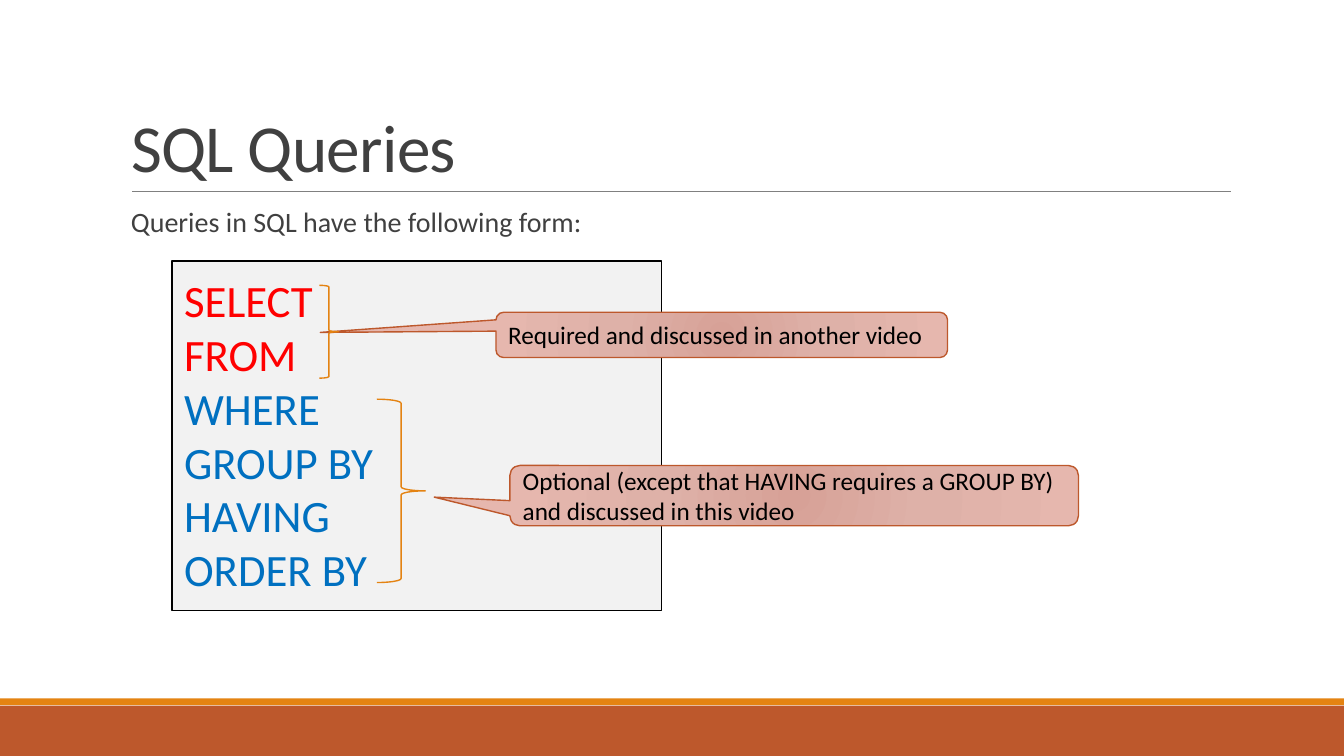
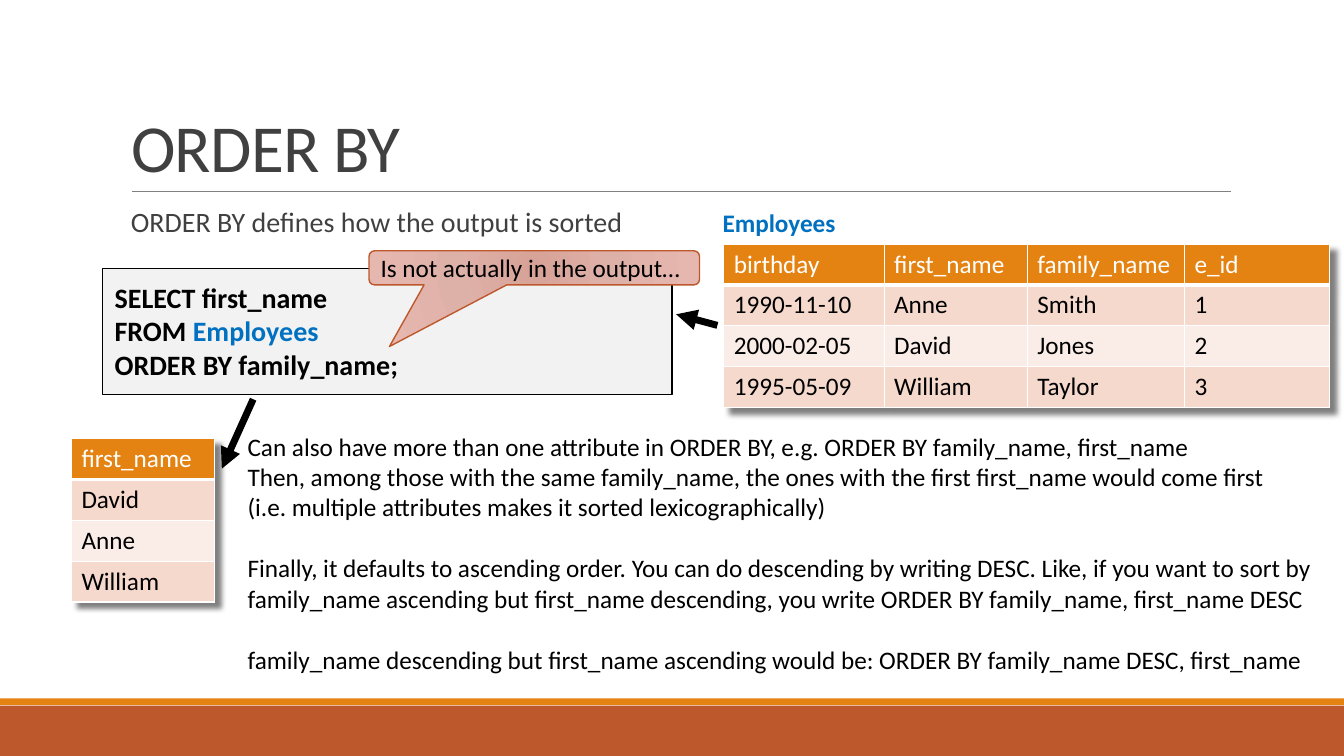
from dataclasses import dataclass
from typing import NamedTuple, Sequence

import lxml.etree
import pptx
import pptx.dml.color
import pptx.enum.shapes
import pptx.enum.text
import pptx.oxml
import pptx.oxml.ns
import pptx.util

# Shared look
FONT = "Calibri"
ORANGE, RUST, GREY = "E48312", "BD582C", "404040"
BLACK, WHITE, RED, BLUE = "000000", "FFFFFF", "FF0000", "0070C0"
CODE_FILL, RULE_GREY = "F2F2F2", "808080"
ROW_FILLS = ("F5D9CC", "FAEDE7")
CALLOUT_STOPS = ((0, "D7A197"), (45, "DEB1A8"), (100, "E6B7AE"))
ROW_HEIGHT = 1.03
SLIDE_WIDTH, SLIDE_HEIGHT = 33.87, 19.05

Cm = pptx.util.Cm
Pt = pptx.util.Pt
Shape = pptx.enum.shapes.MSO_SHAPE
Anchor = pptx.enum.text.MSO_ANCHOR
NAMESPACE = 'xmlns:a="http://schemas.openxmlformats.org/drawingml/2006/main"'


class Box(NamedTuple):
    """A position and size in centimetres."""
    left: float
    top: float
    width: float
    height: float

    def lengths(self) -> list:
        return [Cm(value) for value in self]


class Run(NamedTuple):
    text: str
    color: str


@dataclass(frozen=True)
class Line:
    runs: tuple[Run, ...]
    space_before: float = 0


@dataclass(frozen=True)
class Callout:
    box: Box
    text: str
    tip: tuple[float, float]


@dataclass(frozen=True)
class Arrow:
    start: tuple[float, float]
    end: tuple[float, float]


@dataclass(frozen=True)
class Relation:
    left: float
    top: float
    widths: tuple[float, ...]
    rows: tuple[tuple[str, ...], ...]


def rgb(color: str) -> pptx.dml.color.RGBColor:
    return pptx.dml.color.RGBColor.from_string(color)


def add_xml(parent, tag: str, **attributes: str):
    return lxml.etree.SubElement(parent, pptx.oxml.ns.qn(tag), attributes)


def write(frame, lines: Sequence[str | Line], *, size: float, color: str = BLACK,
          bold: bool = False, anchor=Anchor.TOP, wrap: bool = True,
          spacing: float = 1, tracking: float = 0,
          insets: tuple[float, float] | None = None) -> None:
    """Fill a text frame; insets are horizontal and vertical centimetres."""
    frame.word_wrap = wrap
    frame.auto_size = pptx.enum.text.MSO_AUTO_SIZE.NONE
    frame.vertical_anchor = anchor
    if insets:
        frame.margin_left = frame.margin_right = Cm(insets[0])
        frame.margin_top = frame.margin_bottom = Cm(insets[1])
    for index, line in enumerate(lines):
        if isinstance(line, str):
            line = Line((Run(line, color),))
        paragraph = frame.add_paragraph() if index else frame.paragraphs[0]
        paragraph.alignment = pptx.enum.text.PP_ALIGN.LEFT
        paragraph.line_spacing = spacing
        paragraph.space_before = Pt(line.space_before)
        for part in line.runs:
            run = paragraph.add_run()
            run.text = part.text
            run.font.name, run.font.size, run.font.bold = FONT, Pt(size), bold
            run.font.color.rgb = rgb(part.color)
            if tracking:
                run._r.get_or_add_rPr().set("spc", str(round(tracking * 100)))


def add_figure(slide, kind, box: Box, *, fill: str = "", line: str = ""):
    figure = slide.shapes.add_shape(kind, *box.lengths())
    figure.shadow.inherit = False
    if fill:
        figure.fill.solid()
        figure.fill.fore_color.rgb = rgb(fill)
    else:
        figure.fill.background()
    if line:
        figure.line.color.rgb = rgb(line)
        figure.line.width = Pt(1)
    else:
        figure.line.fill.background()
    return figure


def add_straight(slide, start: tuple[float, float], end: tuple[float, float], *,
                 color: str, width: float, head: bool = False):
    straight = slide.shapes.add_connector(
        pptx.enum.shapes.MSO_CONNECTOR.STRAIGHT,
        *[Cm(value) for value in (*start, *end)])
    straight.line.color.rgb = rgb(color)
    straight.line.width = Pt(width)
    if head:
        add_xml(straight.line._get_or_add_ln(), "a:tailEnd", type="triangle")
    add_xml(straight._element.spPr, "a:effectLst")
    return straight


def add_code(slide, box: Box, lines: Sequence[str | Line], *, size: float,
             bold: bool = False) -> None:
    panel = add_figure(slide, Shape.RECTANGLE, box, fill=CODE_FILL, line=BLACK)
    write(panel.text_frame, lines, size=size, bold=bold, insets=(0.3, 0.3))


def add_callout(slide, callout: Callout) -> None:
    bubble = add_figure(slide, Shape.ROUNDED_RECTANGULAR_CALLOUT, callout.box,
                        fill=CALLOUT_STOPS[0][1], line=RUST)
    for index, value in enumerate((*callout.tip, 0.167)):
        bubble.adjustments[index] = value
    stops = "".join(f'<a:gs pos="{position * 1000}"><a:srgbClr val="{color}"/></a:gs>'
                    for position, color in CALLOUT_STOPS)
    gradient = pptx.oxml.parse_xml(
        f'<a:gradFill {NAMESPACE} rotWithShape="1"><a:gsLst>{stops}</a:gsLst>'
        '<a:path path="circle"><a:fillToRect l="100000" t="100000" r="100000" '
        'b="100000"/></a:path></a:gradFill>')
    properties = bubble._element.spPr
    properties.replace(properties.find(pptx.oxml.ns.qn("a:solidFill")), gradient)
    write(bubble.text_frame, [callout.text], size=18, anchor=Anchor.MIDDLE)


def add_relation(slide, relation: Relation) -> None:
    box = Box(relation.left, relation.top, sum(relation.widths),
              ROW_HEIGHT * len(relation.rows))
    table = slide.shapes.add_table(len(relation.rows), len(relation.widths),
                                   *box.lengths()).table
    table.first_row = table.horz_banding = False
    for column, width in zip(table.columns, relation.widths):
        column.width = Cm(width)
    for row_index, values in enumerate(relation.rows):
        header = row_index == 0
        table.rows[row_index].height = Cm(ROW_HEIGHT)
        for column_index, value in enumerate(values):
            cell = table.cell(row_index, column_index)
            write(cell.text_frame, [value], size=18, color=WHITE if header else BLACK)
            # Borders come before the fill in the cell properties
            properties = cell._tc.get_or_add_tcPr()
            for side in "LRTB":
                heavy = (header and side == "B") or (row_index == 1 and side == "T")
                border = add_xml(properties, f"a:ln{side}", w=str(Pt(3 if heavy else 1)))
                add_xml(add_xml(border, "a:solidFill"), "a:srgbClr", val=WHITE)
            cell.fill.solid()
            cell.fill.fore_color.rgb = rgb(
                ORANGE if header else ROW_FILLS[(row_index - 1) % 2])
    # Soft shadow to the lower right
    table._tbl.tblPr.insert(0, pptx.oxml.parse_xml(
        f'<a:effectLst {NAMESPACE}><a:outerShdw blurRad="50800" dist="76200" '
        'dir="2700000" algn="tl" rotWithShape="0"><a:srgbClr val="000000">'
        '<a:alpha val="50000"/></a:srgbClr></a:outerShdw></a:effectLst>'))


def decorate_layout(layout, slide) -> None:
    """Draw the bands and title rule, then move them to the layout."""
    decorations = [
        add_figure(slide, Shape.RECTANGLE, Box(0, 17.78, SLIDE_WIDTH, 1.27), fill=RUST),
        add_figure(slide, Shape.RECTANGLE, Box(0, 17.6, SLIDE_WIDTH, 0.17), fill=ORANGE),
        add_straight(slide, (3.33, 4.83), (31.01, 4.83), color=RULE_GREY, width=0.5),
    ]
    for decoration in decorations:
        layout.shapes._spTree.append(decoration._element)


def place(placeholder, box: Box) -> None:
    (placeholder.left, placeholder.top,
     placeholder.width, placeholder.height) = box.lengths()


def add_topic(deck, layout, title: str, lead: str):
    slide = deck.slides.add_slide(layout)
    heading, body = slide.shapes.title, slide.placeholders[1]
    place(heading, Box(3.05, 0.79, 27.94, 4.04))
    write(heading.text_frame, [title], size=48, color=GREY, anchor=Anchor.BOTTOM,
          spacing=0.85, tracking=-0.5)
    place(body, Box(3.05, 5.13, 27.94, 11.18))
    write(body.text_frame, [lead], size=20, color=GREY, spacing=0.9, insets=(0, 0.13))
    # Blank bullet with a hanging indent
    paragraph = body.text_frame.paragraphs[0]
    paragraph.space_after = Pt(2)
    properties = paragraph._p.get_or_add_pPr()
    indent = Cm(0.25)
    properties.set("marL", str(indent))
    properties.set("indent", str(-indent))
    add_xml(add_xml(properties, "a:buClr"), "a:srgbClr", val=ORANGE)
    add_xml(properties, "a:buChar", char=" ")
    return slide


def build_queries(deck, layout):
    slide = add_topic(deck, layout, "SQL Queries", "Queries in SQL have the following form:")
    required = ("SELECT", "FROM")
    optional = ("WHERE", "GROUP BY", "HAVING", "ORDER BY")
    clauses = [Line((Run(word, color),))
               for words, color in ((required, RED), (optional, BLUE)) for word in words]
    add_code(slide, Box(4.34, 6.58, 12.34, 8.81), clauses, size=32)
    for callout in (
        Callout(Box(12.5, 7.87, 11.38, 1.14),
                "Required and discussed in another video", (-0.889, -0.055)),
        Callout(Box(12.85, 11.73, 14.33, 1.52),
                "Optional (except that HAVING requires a GROUP BY) "
                "and discussed in this video", (-0.633, 0.025)),
    ):
        add_callout(slide, callout)
    for brace in (Box(9.5, 10.06, 1.22, 4.62), Box(8.05, 7.19, 0.48, 2.34)):
        add_figure(slide, Shape.RIGHT_BRACE, brace, line=ORANGE)
    return slide


def build_order_by(deck, layout) -> None:
    slide = add_topic(deck, layout, "ORDER BY", "ORDER BY defines how the output is sorted")
    # Source relation, query and result
    add_relation(slide, Relation(18.24, 6.15, (4.04, 3.61, 3.96, 3.66), (
        ("birthday", "first_name", "family_name", "e_id"),
        ("1990-11-10", "Anne", "Smith", "1"),
        ("2000-02-05", "David", "Jones", "2"),
        ("1995-05-09", "William", "Taylor", "3"))))
    relation_name = slide.shapes.add_textbox(*Box(17.96, 5.11, 3.38, 1.02).lengths())
    write(relation_name.text_frame, ["Employees"], size=18, color=BLUE, bold=True, wrap=False)
    add_code(slide, Box(2.59, 6.76, 14.35, 3.18), [
        "SELECT first_name",
        Line((Run("FROM ", BLACK), Run("Employees", BLUE))),
        "ORDER BY family_name;"], size=20, bold=True)
    add_relation(slide, Relation(1.8, 11.05, (3.61,), (
        ("first_name",), ("David",), ("Anne",), ("William",))))
    add_callout(slide, Callout(Box(9.3, 6.32, 8.33, 0.86),
                               "Is not actually in the output…", (-0.438, 2.305)))
    # Explanation
    explanation = slide.shapes.add_textbox(*Box(5.99, 10.74, 27.51, 7.19).lengths())
    write(explanation.text_frame, [
        "Can also have more than one attribute in ORDER BY, e.g. "
        "ORDER BY family_name, first_name",
        "Then, among those with the same family_name, the ones with the first "
        "first_name would come first",
        "(i.e. multiple attributes makes it sorted lexicographically)",
        Line((Run("Finally, it defaults to ascending order. You can do descending by "
                  "writing DESC. Like, if you want to sort by family_name ascending but "
                  "first_name descending, you write ORDER BY family_name, first_name DESC",
                  BLACK),), 22),
        Line((Run("family_name descending but first_name ascending would be: "
                  "ORDER BY family_name DESC, first_name", BLACK),), 22)], size=18)
    for arrow in (Arrow((18.08, 8.2), (17.04, 7.92)), Arrow((6.38, 10.06), (5.59, 11.81))):
        add_straight(slide, arrow.start, arrow.end, color=BLACK, width=5, head=True)


def main() -> None:
    deck = pptx.Presentation()
    deck.slide_width, deck.slide_height = Cm(SLIDE_WIDTH), Cm(SLIDE_HEIGHT)
    layout = deck.slide_layouts.get_by_name("Title and Content")
    decorate_layout(layout, build_queries(deck, layout))
    build_order_by(deck, layout)
    deck.save("out.pptx")


if __name__ == "__main__":
    main()
